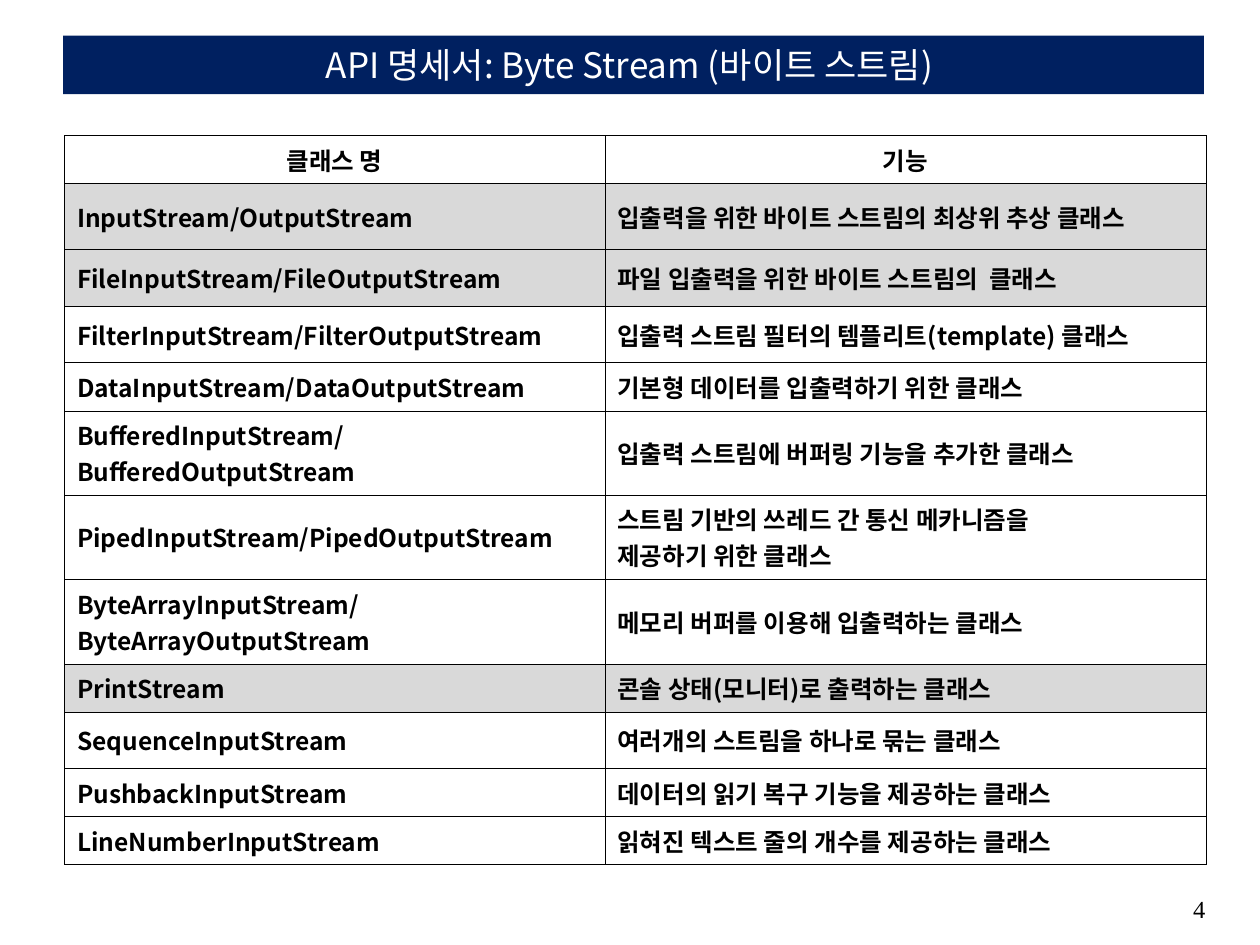
from dataclasses import dataclass

from lxml import etree
from pptx import Presentation
from pptx.dml.color import RGBColor
from pptx.enum.text import MSO_ANCHOR, MSO_AUTO_SIZE, PP_ALIGN
from pptx.oxml.ns import qn
from pptx.util import Cm, Pt

LEFT, MID, RIGHT = PP_ALIGN.LEFT, PP_ALIGN.CENTER, PP_ALIGN.RIGHT
CENTRE = MSO_ANCHOR.MIDDLE
FIXED = MSO_AUTO_SIZE.NONE
TITLE_ONLY = 5

SANS, SERIF = "Noto Sans CJK KR", "Times New Roman"
NAVY, BLACK, WHITE, GREY = "002060", "000000", "FFFFFF", "D9D9D9"
HEAD = {"size": Pt(20), "bold": False, "name": SANS}
CELL = {"size": Pt(14), "bold": True, "name": SANS}
PAGE = {"size": Pt(14), "bold": False, "name": SERIF}
COLS = (10.89, 12.12)
EDGE = 762
ONE, TALL, TWO = 0.97, 1.14, 1.7


@dataclass
class Row:
    name: str
    use: str
    high: float = ONE
    fill: str = WHITE
    align: PP_ALIGN = LEFT


ROWS = [
    Row("클래스 명", "기능", align=MID),
    Row("InputStream/OutputStream",
        "입출력을 위한 바이트 스트림의 최상위 추상 클래스", 1.33, GREY),
    Row("FileInputStream/FileOutputStream",
        "파일 입출력을 위한 바이트 스트림의  클래스", TALL, GREY),
    Row("FilterInputStream/FilterOutputStream",
        "입출력 스트림 필터의 템플리트(template) 클래스", TALL),
    Row("DataInputStream/DataOutputStream",
        "기본형 데이터를 입출력하기 위한 클래스"),
    Row("BufferedInputStream/BufferedOutputStream",
        "입출력 스트림에 버퍼링 기능을 추가한 클래스", TWO),
    Row("PipedInputStream/PipedOutputStream",
        "스트림 기반의 쓰레드 간 통신 메카니즘을\n제공하기 위한 클래스", TWO),
    Row("ByteArrayInputStream/ByteArrayOutputStream",
        "메모리 버퍼를 이용해 입출력하는 클래스", TWO),
    Row("PrintStream", "콘솔 상태(모니터)로 출력하는 클래스", fill=GREY),
    Row("SequenceInputStream", "여러개의 스트림을 하나로 묶는 클래스", TALL),
    Row("PushbackInputStream", "데이터의 읽기 복구 기능을 제공하는 클래스"),
    Row("LineNumberInputStream", "읽혀진 텍스트 줄의 개수를 제공하는 클래스"),
]


def paint(fill, tone: str) -> None:
    fill.solid()
    fill.fore_color.rgb = RGBColor.from_string(tone)


def write(frame, text: str, form: dict, tone: str, align: PP_ALIGN) -> None:
    """Fill a text frame and format each run, East Asian font included."""
    frame.text = text
    frame.word_wrap = True
    for para in frame.paragraphs:
        para.alignment = align
        for run in para.runs:
            for key, value in form.items():
                setattr(run.font, key, value)
            paint(run.font.fill, tone)
            east = etree.Element(qn("a:ea"), typeface=form["name"])
            run.font._element.find(qn("a:latin")).addnext(east)


def frame_cell(cell, tone: str) -> None:
    """Draw a hairline on all four sides of a cell."""
    props = cell._tc.get_or_add_tcPr()
    for spot, side in enumerate(("lnL", "lnR", "lnT", "lnB")):
        line = etree.Element(qn(f"a:{side}"), w=str(EDGE))
        solid = etree.SubElement(line, qn("a:solidFill"))
        etree.SubElement(solid, qn("a:srgbClr"), val=tone)
        props.insert(spot, line)


def add_title(slide, text: str) -> None:
    bar = slide.shapes.title
    place = {"left": Cm(1.27), "top": Cm(0.72),
             "width": Cm(23), "height": Cm(1.18)}
    for key, value in place.items():
        setattr(bar, key, value)
    paint(bar.fill, NAVY)
    write(bar.text_frame, text, HEAD, WHITE, MID)
    bar.text_frame.auto_size = FIXED
    bar.text_frame.vertical_anchor = CENTRE


def add_grid(slide, rows: list[Row]) -> None:
    shape = slide.shapes.add_table(
        len(rows), len(COLS), Cm(1.3), Cm(2.73),
        Cm(sum(COLS)), Cm(sum(row.high for row in rows)))
    grid = shape.table
    grid.horz_banding = False
    for col, wide in zip(grid.columns, COLS):
        col.width = Cm(wide)
    for line, row in zip(grid.rows, rows):
        line.height = Cm(row.high)
        for cell, text in zip(line.cells, (row.name, row.use)):
            write(cell.text_frame, text, CELL, BLACK, row.align)
            cell.vertical_anchor = CENTRE
            paint(cell.fill, row.fill)
            frame_cell(cell, BLACK)


def add_page(slide, text: str) -> None:
    box = slide.shapes.add_textbox(Cm(23.48), Cm(17.9), Cm(1.07), Cm(0.43))
    write(box.text_frame, text, PAGE, BLACK, RIGHT)


def main() -> None:
    deck = Presentation()
    deck.slide_width, deck.slide_height = Cm(25.4), Cm(19.05)
    slide = deck.slides.add_slide(deck.slide_layouts[TITLE_ONLY])
    add_page(slide, "4")
    add_title(slide, "API 명세서: Byte Stream (바이트 스트림) ")
    add_grid(slide, ROWS)
    deck.save("out.pptx")


if __name__ == "__main__":
    main()
